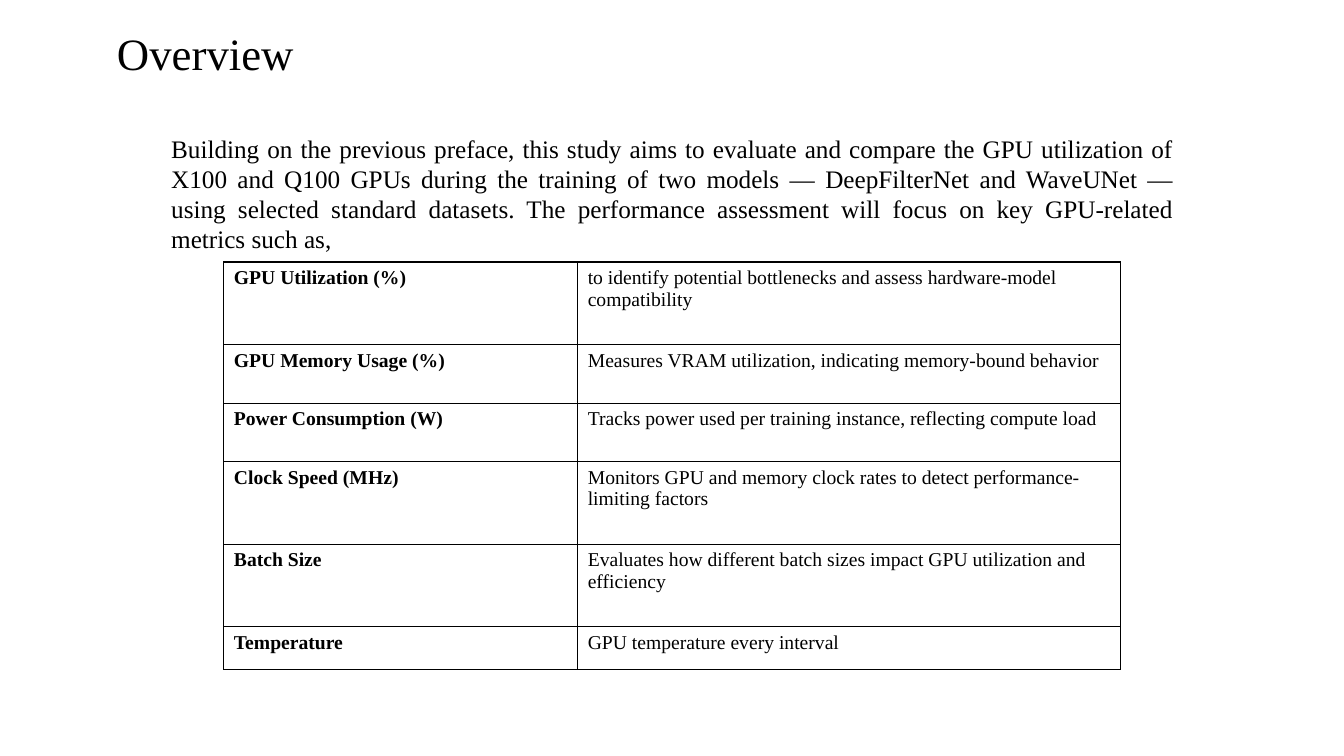
"""Build the Overview slide with its table of GPU metrics."""
from lxml import etree
from pptx import Presentation
from pptx.dml.color import RGBColor
from pptx.enum import text
from pptx.oxml import ns
from pptx.util import Inches, Pt

COLORS = {"ink": "000000", "paper": "FFFFFF"}
FONT = "Times New Roman"
INTRO = (
    "Building on the previous preface, this study aims to evaluate and compare "
    "the GPU utilization of X100 and Q100 GPUs during the training of two models "
    "— DeepFilterNet and WaveUNet — using selected standard datasets. "
    "The performance assessment will focus on key GPU-related metrics such as,"
)
METRICS = [
    ("GPU Utilization (%)", 0.82,
     "to identify potential bottlenecks and assess hardware-model compatibility"),
    ("GPU Memory Usage (%)", 0.58,
     "Measures VRAM utilization, indicating memory-bound behavior"),
    ("Power Consumption (W)", 0.58,
     "Tracks power used per training instance, reflecting compute load"),
    ("Clock Speed (MHz)", 0.82,
     "Monitors GPU and memory clock rates to detect performance-limiting factors"),
    ("Batch Size", 0.82,
     "Evaluates how different batch sizes impact GPU utilization and efficiency"),
    ("Temperature", 0.42, "GPU temperature every interval"),
]
COLUMN_WIDTHS = (3.51, 5.38)


def write(tf, content, size, bold=False, **paragraph_format):
    p = tf.paragraphs[0]
    for name, value in paragraph_format.items():
        setattr(p, name, value)
    r = p.add_run()
    r.text = content
    for name, value in {"name": FONT, "size": Pt(size), "bold": bold}.items():
        setattr(r.font, name, value)
    r.font.color.rgb = RGBColor.from_string(COLORS["ink"])


def add_title(s, content):
    sp = s.shapes.title
    box = {"left": 1.06, "top": 0.23, "width": 11.5, "height": 0.66}
    for name, value in box.items():
        setattr(sp, name, Inches(value))
    sp.text_frame.vertical_anchor = text.MSO_ANCHOR.MIDDLE
    write(sp.text_frame, content, 32, alignment=text.PP_ALIGN.LEFT, line_spacing=0.9)


def add_intro(s):
    sp = s.shapes.add_textbox(Inches(1.6), Inches(1.27), Inches(10.14), Inches(1.31))
    tf = sp.text_frame
    tf.word_wrap = True
    tf.auto_size = text.MSO_AUTO_SIZE.SHAPE_TO_FIT_TEXT
    write(tf, INTRO, 18, alignment=text.PP_ALIGN.JUSTIFY)


def add_borders(cell):
    tcPr = cell._tc.get_or_add_tcPr()
    for i, side in enumerate(("lnL", "lnR", "lnT", "lnB")):
        ln = etree.Element(ns.qn(f"a:{side}"), w=str(Pt(1)))
        fill = etree.SubElement(ln, ns.qn("a:solidFill"))
        etree.SubElement(fill, ns.qn("a:srgbClr"), val=COLORS["ink"])
        tcPr.insert(i, ln)


def add_metrics_table(s):
    frame = s.shapes.add_table(
        len(METRICS), len(COLUMN_WIDTHS),
        Inches(2.22), Inches(2.6), Inches(8.88), Inches(4.04))
    table = frame.table
    for name in ("first_row", "horz_banding"):
        setattr(table, name, False)
    for column, width in zip(table.columns, COLUMN_WIDTHS):
        column.width = Inches(width)
    for row, (metric, height, purpose) in zip(table.rows, METRICS):
        row.height = Inches(height)
        for i, (cell, content) in enumerate(zip(row.cells, (metric, purpose))):
            cell.fill.solid()
            cell.fill.fore_color.rgb = RGBColor.from_string(COLORS["paper"])
            write(cell.text_frame, content, 14, bold=i == 0)
            add_borders(cell)


def main():
    prs = Presentation()
    prs.slide_width, prs.slide_height = Inches(13.33), Inches(7.5)
    s = prs.slides.add_slide(prs.slide_layouts[5])
    add_title(s, "Overview")
    add_intro(s)
    add_metrics_table(s)
    prs.save("out.pptx")


if __name__ == "__main__":
    main()
